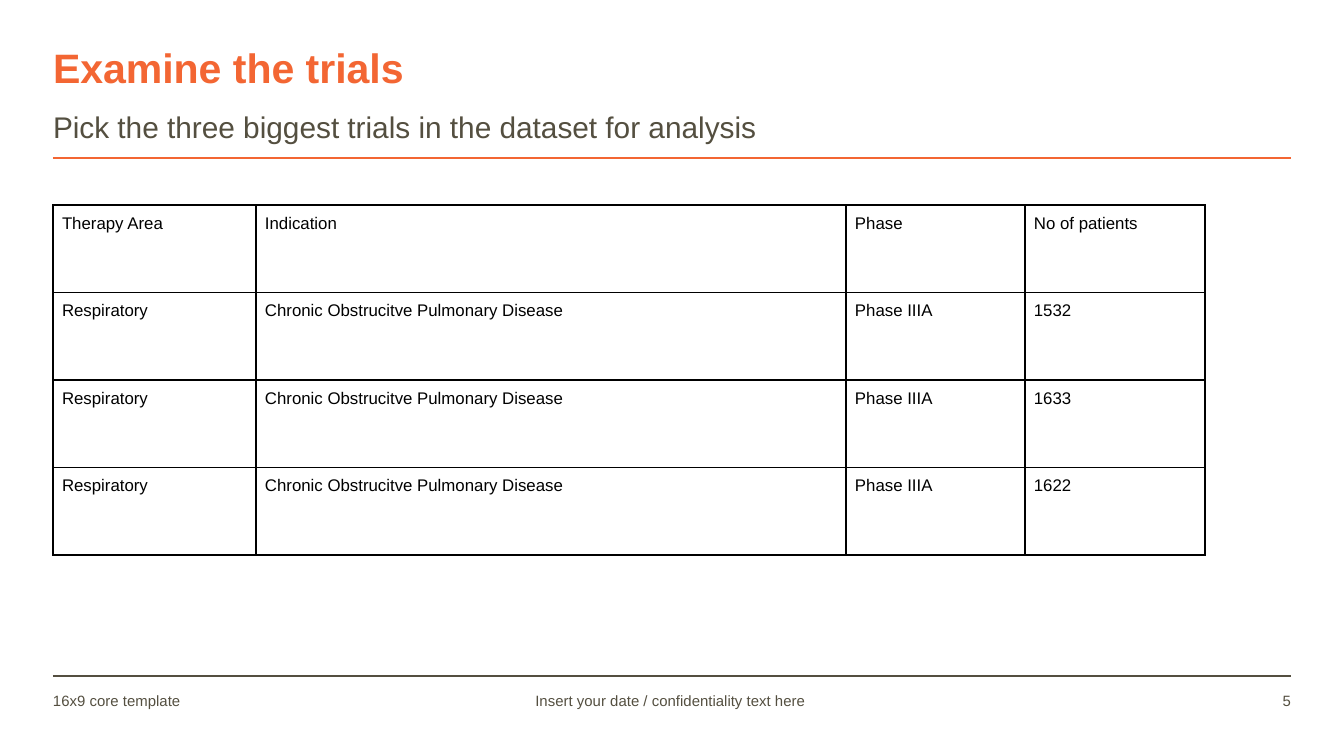
"""Build the trial selection slide with its table and footer."""
import pptx
import pptx.dml.color
import pptx.enum.shapes
import pptx.enum.text
import pptx.oxml
import pptx.oxml.ns
import pptx.util

WIDTH, HEIGHT = 1344, 756
PX = pptx.util.Inches(10) / WIDTH
ORANGE, OLIVE, BLACK = "F36633", "544F40", "000000"
LEFT, RIGHT = 53, 1291
ALIGN = pptx.enum.text.PP_ALIGN
ANCHOR = pptx.enum.text.MSO_ANCHOR

# text, box, insets, size, colour, bold, alignment, anchor
TEXTS = [
    ("Examine the trials", (LEFT, 43, 1114, 49), (0, 0, 0, 0),
     22, ORANGE, True, ALIGN.LEFT, ANCHOR.BOTTOM),
    ("Pick the three biggest trials in the dataset for analysis", (LEFT, 102, 1114, 40), (0, 7, 13, 7),
     16, OLIVE, False, ALIGN.LEFT, ANCHOR.TOP),
    ("16x9 core template", (LEFT, 692, 378, 40), (0, 0, 0, 0),
     8, OLIVE, False, ALIGN.LEFT, ANCHOR.TOP),
    ("Insert your date / confidentiality text here", (438, 692, 465, 40), (11, 0, 11, 0),
     8, OLIVE, False, ALIGN.CENTER, ANCHOR.TOP),
    ("5", (1169, 692, 122, 40), (11, 0, 0, 0),
     8, OLIVE, False, ALIGN.RIGHT, ANCHOR.TOP),
]
RULES = [(158, ORANGE), (676, OLIVE)]
DISEASE = "Chronic Obstrucitve Pulmonary Disease"
TRIALS = [("Therapy Area", "Indication", "Phase", "No of patients")] + [
    ("Respiratory", DISEASE, "Phase IIIA", patients) for patients in ("1532", "1633", "1622")
]
COLUMNS = [203, 590, 179, 180]
TABLE_TOP, TABLE_HEIGHT, CELL_INSET = 205, 350, 9


def px(length):
    return pptx.util.Emu(round(length * PX))


def colour(value):
    return pptx.dml.color.RGBColor.from_string(value)


def style(para, size, value, bold=False):
    para.font.name = "Arial"
    para.font.size = pptx.util.Pt(size)
    para.font.bold = bold
    para.font.color.rgb = colour(value)


def set_insets(target, insets):
    for side, inset in zip(("left", "top", "right", "bottom"), insets):
        setattr(target, f"margin_{side}", px(inset))


def add_text(page, text, box, insets, size, value, bold, align, anchor):
    frame = page.shapes.add_textbox(*map(px, box)).text_frame
    frame.word_wrap = True
    frame.vertical_anchor = anchor
    set_insets(frame, insets)
    para = frame.paragraphs[0]
    para.text = text
    para.alignment = align
    style(para, size, value, bold)


def add_rule(page, top, value):
    rule = page.shapes.add_connector(
        pptx.enum.shapes.MSO_CONNECTOR.STRAIGHT, px(LEFT), px(top), px(RIGHT), px(top))
    rule.line.color.rgb = colour(value)
    rule.line.width = pptx.util.Pt(1)
    rule._element.spPr.append(pptx.oxml.parse_xml(
        f"<a:effectLst {pptx.oxml.ns.nsdecls('a')}/>"))


def add_borders(cell):
    properties = cell._tc.get_or_add_tcPr()
    for index, side in enumerate("LRTB"):
        properties.insert(index, pptx.oxml.parse_xml(
            f'<a:ln{side} {pptx.oxml.ns.nsdecls("a")} w="{pptx.util.Pt(1)}">'
            f'<a:solidFill><a:srgbClr val="{BLACK}"/></a:solidFill></a:ln{side}>'))


def add_trials(page):
    table = page.shapes.add_table(
        len(TRIALS), len(COLUMNS), px(LEFT), px(TABLE_TOP),
        px(sum(COLUMNS)), px(TABLE_HEIGHT)).table
    table.first_row = table.horz_banding = False
    for column, width in zip(table.columns, COLUMNS):
        column.width = px(width)
    for row, trial in zip(table.rows, TRIALS):
        row.height = px(TABLE_HEIGHT / len(TRIALS))
        for cell, text in zip(row.cells, trial):
            cell.text = text
            cell.fill.background()
            set_insets(cell, [CELL_INSET] * 4)
            style(cell.text_frame.paragraphs[0], 9, BLACK)
            add_borders(cell)


def main():
    deck = pptx.Presentation()
    deck.slide_width, deck.slide_height = px(WIDTH), px(HEIGHT)
    page = deck.slides.add_slide(deck.slide_layouts[6])
    for rule in RULES:
        add_rule(page, *rule)
    for text in TEXTS:
        add_text(page, *text)
    add_trials(page)
    deck.save("out.pptx")


if __name__ == "__main__":
    main()
